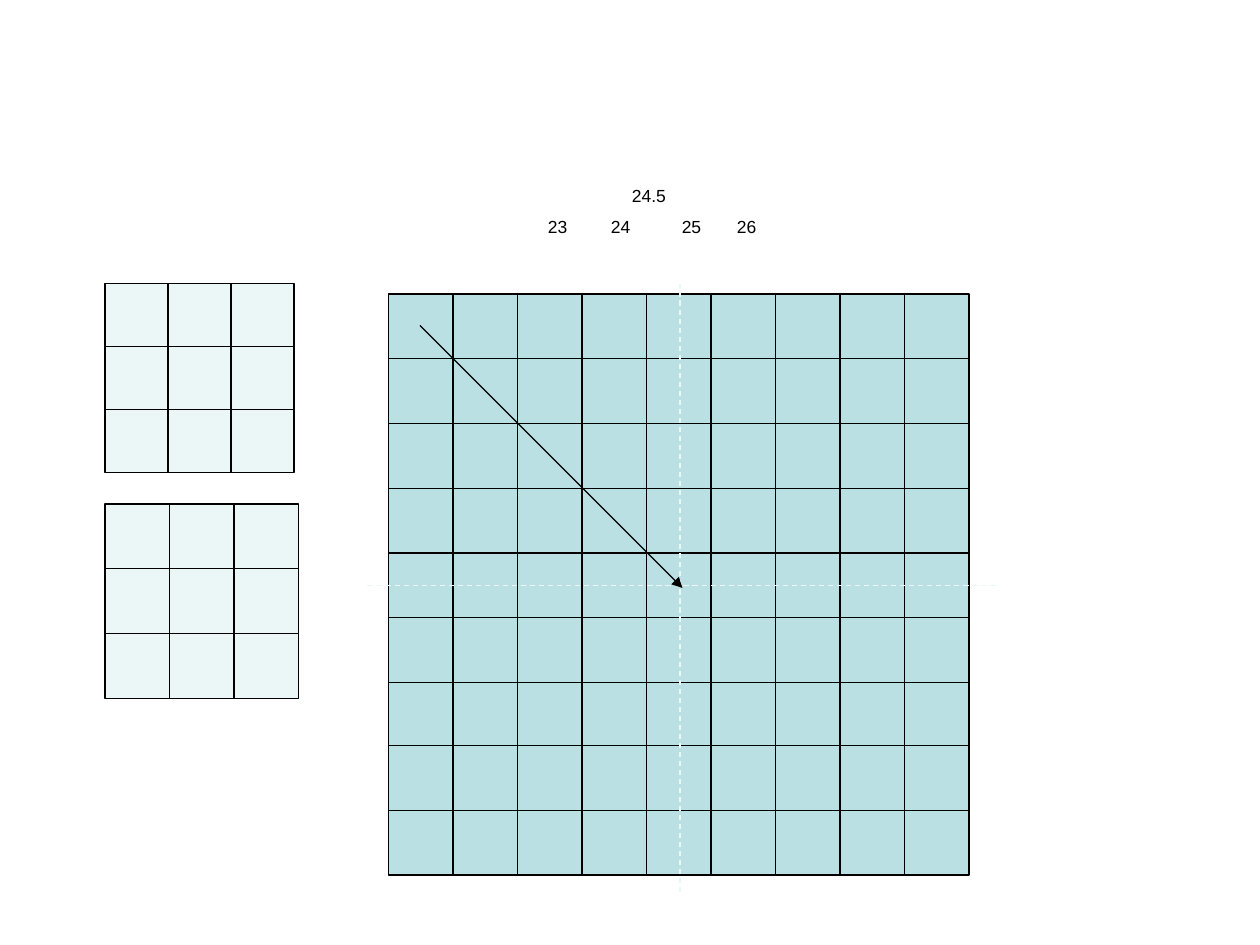
from lxml import etree
from pptx import Presentation
from pptx import util as u
from pptx.dml.color import RGBColor
from pptx.enum import dml, shapes, text
from pptx.oxml import ns

BLACK, TEAL, PALE = "000000", "BBE0E3", "EBF6F7"


def color(value):
    """Turn a hex string into a colour."""
    return RGBColor.from_string(value)


def add_label(page, box, wording):
    """Place a coordinate label in the given box."""
    label = page.shapes.add_textbox(*map(u.Pt, box))
    frame = label.text_frame
    frame.word_wrap = False
    frame.auto_size = text.MSO_AUTO_SIZE.SHAPE_TO_FIT_TEXT
    span = frame.paragraphs[0].add_run()
    span.text = wording
    for name, value in {"name": "Arial", "size": u.Pt(10)}.items():
        setattr(span.font, name, value)
    span.font.color.rgb = color(BLACK)


def add_cells(group, box, columns, rows, fill):
    """Fill the given box with equal outlined cells."""
    left, top, width, height = box
    cell_width, cell_height = width / columns, height / rows
    for row in range(rows):
        for column in range(columns):
            cell = group.shapes.add_shape(
                shapes.MSO_SHAPE.RECTANGLE,
                u.Pt(left + column * cell_width), u.Pt(top + row * cell_height),
                u.Pt(cell_width), u.Pt(cell_height))
            cell.shadow.inherit = False
            cell.fill.solid()
            cell.fill.fore_color.rgb = color(fill)
            cell.line.color.rgb = color(BLACK)
            cell.line.width = u.Pt(0.75)


def add_line(page, start, end, stroke, dashed=False, arrow=False):
    """Draw a thin line between two points."""
    line = page.shapes.add_connector(
        shapes.MSO_CONNECTOR.STRAIGHT, *map(u.Pt, start + end))
    line.line.color.rgb = color(stroke)
    line.line.width = u.Pt(0.75)
    if dashed:
        line.line.dash_style = dml.MSO_LINE.DASH
    if arrow:
        outline = line._element.spPr.find(ns.qn("a:ln"))
        etree.SubElement(outline, ns.qn("a:tailEnd"), type="triangle")
    etree.SubElement(line._element.spPr, ns.qn("a:effectLst"))


def add_image_grid(page, box):
    """Draw the large grid with its two centre axes."""
    left, top, width, height = box
    group = page.shapes.add_group_shape()
    add_cells(group, (left, top, width, 259), 9, 7, TEAL)
    add_cells(group, (left, top + 258, width, height - 258), 9, 2, TEAL)
    add_line(page, (left - 12, top + 166.6), (left + 348, top + 166.6), PALE, dashed=True)
    add_line(page, (left + 166.6, top + 342), (left + 166.6, top - 6), PALE, dashed=True)


def add_kernel(page, box):
    """Draw a three by three grid in the given box."""
    add_cells(page.shapes.add_group_shape(), box, 3, 3, PALE)


def add_labels(page, left, top):
    """Place the centre coordinate above the column coordinates."""
    add_label(page, (left + 48, top, 34, 19.2), "24.5")
    for offset, wording in ((0, "23"), (36, "24"), (76.5, "25"), (108, "26")):
        add_label(page, (left + offset, top + 18, 25.7, 19.2), wording)


def main():
    """Build and save the slide."""
    deck = Presentation()
    deck.slide_width, deck.slide_height = u.Pt(720), u.Pt(540)
    page = deck.slides.add_slide(deck.slide_layouts[6])
    add_labels(page, 306, 102)
    add_image_grid(page, (222, 168, 331.8, 332))
    add_kernel(page, (60, 162, 108, 108))
    add_kernel(page, (60, 288, 110.7, 111))
    add_line(page, (240, 186), (390, 336), BLACK, arrow=True)
    deck.save("out.pptx")


if __name__ == "__main__":
    main()
